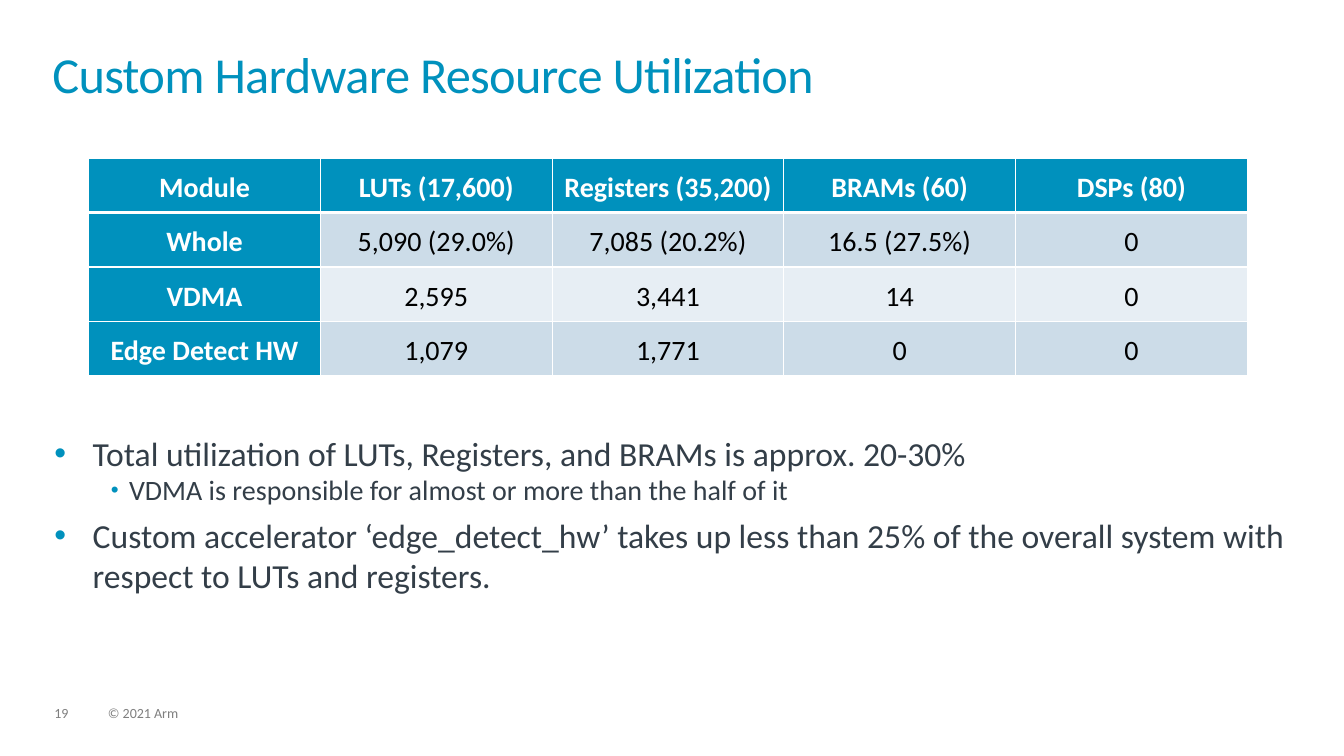
from dataclasses import dataclass

from lxml import etree
from pptx import Presentation
from pptx import util as u
from pptx.dml.color import RGBColor
from pptx.enum import text
from pptx.oxml import ns

WIDTH, HEIGHT = 13.33, 7.5
FONT = "Calibri"
COLORS = {
    "accent": "0091BD",
    "body": "333E48",
    "footer": "7F7F7F",
    "white": "FFFFFF",
    "black": "000000",
    "band_dark": "CCDCE8",
    "band_light": "E7EEF4",
}


@dataclass(frozen=True)
class Area:
    """Position and size in percent of the slide."""
    left: float
    top: float
    width: float
    height: float

    def emu(self) -> list[int]:
        pairs = ((self.left, WIDTH), (self.top, HEIGHT),
                 (self.width, WIDTH), (self.height, HEIGHT))
        return [u.Inches(share * full / 100) for share, full in pairs]


@dataclass(frozen=True)
class Style:
    size: float
    color: str
    bold: bool = False
    tracking: float = 0


@dataclass(frozen=True)
class Label:
    area: Area
    words: str
    style: Style
    line_spacing: float
    space_after: float = 0


@dataclass(frozen=True)
class Bullet:
    words: str
    size: float
    level: int = 0
    margin: float = 0.38
    hanging: float = 0.38
    scale: int = 100
    space_before: float = 0


LABELS = [
    Label(Area(3.9, 6.93, 92.1, 9.6), "Custom Hardware Resource Utilization",
          Style(36, "accent", tracking=-0.5), 0.85),
    Label(Area(4.05, 93.47, 2.55, 2), "19", Style(10, "footer"), 0.9, 6),
    Label(Area(8.03, 93.47, 38.03, 2), "© 2021 Arm", Style(10, "footer"), 0.9, 6),
]
TABLE_AREA = Area(6.6, 20.93, 86.2, 28.8)
TABLE_ROWS = [
    ["Module", "LUTs (17,600)", "Registers (35,200)", "BRAMs (60)", "DSPs (80)"],
    ["Whole", "5,090 (29.0%)", "7,085 (20.2%)", "16.5 (27.5%)", "0"],
    ["VDMA", "2,595", "3,441", "14", "0"],
    ["Edge Detect HW", "1,079", "1,771", "0", "0"],
]
BULLET_AREA = Area(4.05, 57.2, 91.75, 24)
BULLETS = [
    Bullet("Total utilization of LUTs, Registers, and BRAMs is approx. 20-30%", 24),
    Bullet("VDMA is responsible for almost or more than the half of it", 20,
           level=1, margin=0.74, hanging=0.18, scale=80),
    Bullet("Custom accelerator ‘edge_detect_hw’ takes up less than 25% of the overall "
           "system with respect to LUTs and registers.", 24, space_before=6),
]


def rgb(name: str) -> RGBColor:
    return RGBColor.from_string(COLORS[name])


def add_xml(parent, tag: str, **attributes):
    return etree.SubElement(parent, ns.qn(tag), attributes)


def add_color(parent, tag: str, name: str) -> None:
    add_xml(add_xml(parent, tag), "a:srgbClr", val=COLORS[name])


def add_run(p, words: str, style: Style) -> None:
    r = p.add_run()
    r.text = words
    r.font.name = FONT
    r.font.size = u.Pt(style.size)
    r.font.bold = style.bold
    r.font.color.rgb = rgb(style.color)
    if style.tracking:
        r.font._element.set("spc", str(round(style.tracking * 100)))


def add_text_frame(s, area: Area):
    """Add a wrapping text box without insets and return its text frame."""
    tf = s.shapes.add_textbox(*area.emu()).text_frame
    tf.word_wrap = True
    tf.margin_left = tf.margin_top = tf.margin_right = tf.margin_bottom = 0
    return tf


def add_label(s, label: Label) -> None:
    p = add_text_frame(s, label.area).paragraphs[0]
    p.line_spacing = label.line_spacing
    p.space_after = u.Pt(label.space_after)
    add_run(p, label.words, label.style)


def add_bullets(s, area: Area, bullets: list[Bullet]) -> None:
    tf = add_text_frame(s, area)
    for i, bullet in enumerate(bullets):
        p = tf.add_paragraph() if i else tf.paragraphs[0]
        p.level = bullet.level
        props = p._p.get_or_add_pPr()
        props.set("marL", str(u.Inches(bullet.margin)))
        props.set("indent", str(-u.Inches(bullet.hanging)))
        add_color(props, "a:buClr", "accent")
        add_xml(props, "a:buSzPct", val=str(bullet.scale * 1000))
        add_xml(props, "a:buFont", typeface="Arial")
        add_xml(props, "a:buChar", char="•")
        p.space_before = u.Pt(bullet.space_before)
        add_run(p, bullet.words, Style(bullet.size, "body"))


def set_borders(cell, top: float, bottom: float) -> None:
    """Draw white cell borders; side borders are one point wide."""
    props = cell._tc.get_or_add_tcPr()
    for side, width in (("L", 1), ("R", 1), ("T", top), ("B", bottom)):
        line = add_xml(props, f"a:ln{side}", w=str(u.Pt(width)))
        add_color(line, "a:solidFill", "white")


def add_utilization_table(s, area: Area, rows: list[list[str]]) -> None:
    shape = s.shapes.add_table(len(rows), len(rows[0]), *area.emu())
    table = shape.table
    for column in table.columns:
        column.width = shape.width // len(rows[0])
    for i, values in enumerate(rows):
        table.rows[i].height = shape.height // len(rows)
        band = "band_dark" if i % 2 else "band_light"
        for j, words in enumerate(values):
            heading = i == 0 or j == 0
            cell = table.cell(i, j)
            set_borders(cell, top=3 if i == 1 else 1, bottom=3 if i == 0 else 1)
            cell.fill.solid()
            cell.fill.fore_color.rgb = rgb("accent" if heading else band)
            cell.vertical_anchor = text.MSO_ANCHOR.MIDDLE
            cell.margin_left = cell.margin_right = u.Inches(0.07)
            cell.margin_top = cell.margin_bottom = 0
            p = cell.text_frame.paragraphs[0]
            p.alignment = text.PP_ALIGN.CENTER
            p.line_spacing = 1.15
            add_run(p, words, Style(20, "white" if heading else "black", heading))


def main() -> None:
    prs = Presentation()
    prs.slide_width, prs.slide_height = u.Inches(WIDTH), u.Inches(HEIGHT)
    s = prs.slides.add_slide(prs.slide_layouts[6])
    for label in LABELS:
        add_label(s, label)
    add_bullets(s, BULLET_AREA, BULLETS)
    add_utilization_table(s, TABLE_AREA, TABLE_ROWS)
    prs.save("out.pptx")


if __name__ == "__main__":
    main()
